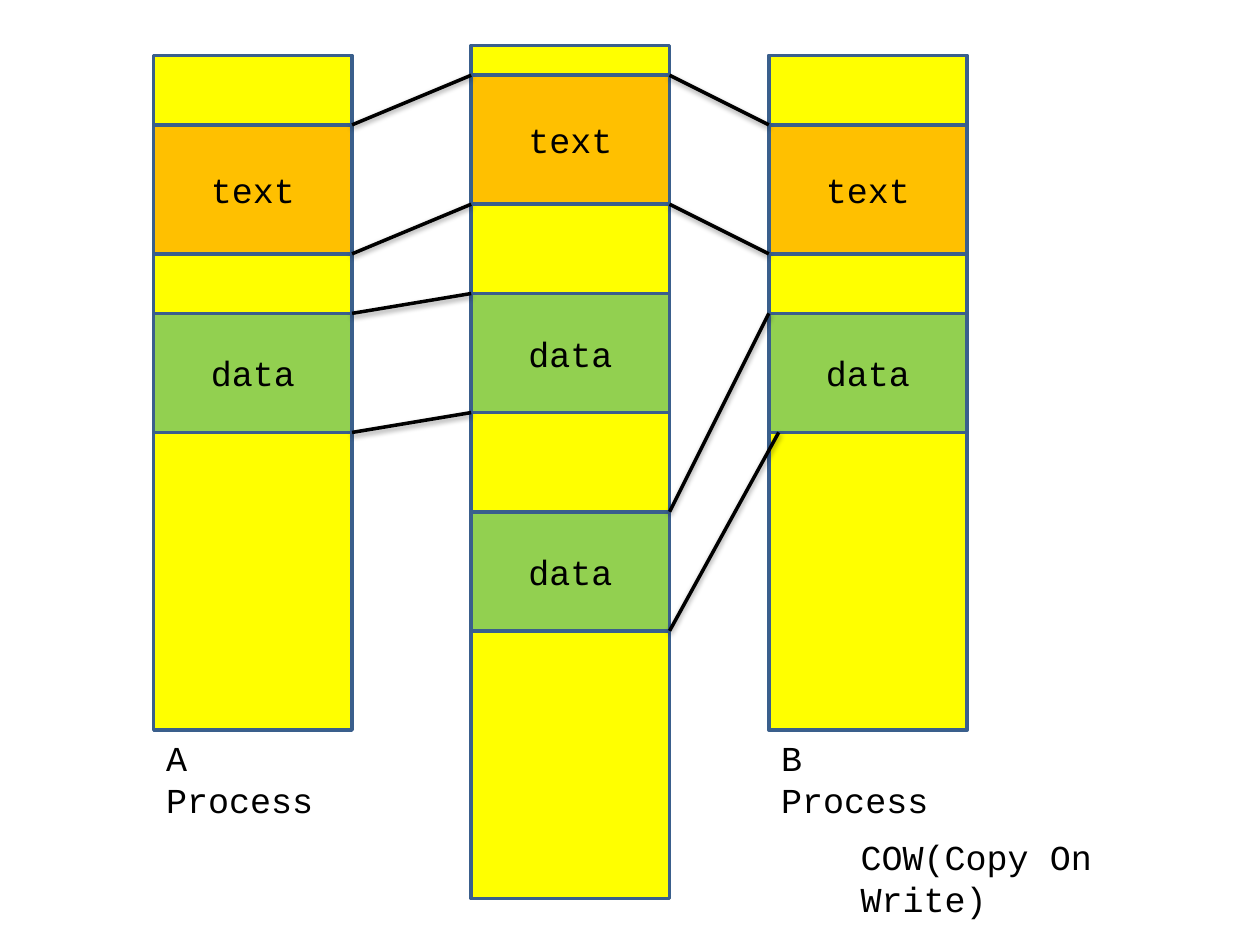
import pptx
import pptx.dml.color
import pptx.enum.shapes
import pptx.enum.text
import pptx.util

RGBColor = pptx.dml.color.RGBColor
YELLOW = RGBColor(0xFF, 0xFF, 0x00)
ORANGE = RGBColor(0xFF, 0xC0, 0x00)
GREEN = RGBColor(0x92, 0xD0, 0x50)
BORDER = RGBColor(0x3A, 0x5F, 0x8C)
BLACK = RGBColor(0x00, 0x00, 0x00)

CELL_MM = 2
LEFT_IN, TOP_IN = 1.22, 0.44
BAR_W, TEXT_H, DATA_H = 20, 13, 12
A_COL, MEMORY_COL, B_COL = 0, 32, 62
PROCESS_H, MEMORY_H = 68, 86
PROCESS_TEXT, PROCESS_DATA = 7, 26
MEMORY_TOP, MEMORY_TEXT, MEMORY_DATA_A, MEMORY_DATA_B = -1, 2, 24, 46


def span(cells):
    return pptx.util.Mm(cells * CELL_MM)


def x(col):
    return pptx.util.Inches(LEFT_IN) + span(col)


def y(row):
    return pptx.util.Inches(TOP_IN) + span(row)


def set_text(tf, text):
    tf.text = text
    font = tf.paragraphs[0].runs[0].font
    font.name = "Courier New"
    font.size = pptx.util.Pt(20)
    font.color.rgb = BLACK


def add_block(slide, col, row, rows, color, text=""):
    sp = slide.shapes.add_shape(
        pptx.enum.shapes.MSO_SHAPE.RECTANGLE, x(col), y(row), span(BAR_W), span(rows))
    sp.shadow.inherit = False
    sp.fill.solid()
    sp.fill.fore_color.rgb = color
    sp.line.color.rgb = BORDER
    sp.line.width = pptx.util.Pt(2)
    if text:
        tf = sp.text_frame
        tf.vertical_anchor = pptx.enum.text.MSO_ANCHOR.MIDDLE
        set_text(tf, text)
        tf.paragraphs[0].alignment = pptx.enum.text.PP_ALIGN.CENTER


def add_label(slide, col, row, cols, text):
    tf = slide.shapes.add_textbox(x(col), y(row), span(cols), span(5.6)).text_frame
    tf.word_wrap = True
    tf.auto_size = pptx.enum.text.MSO_AUTO_SIZE.SHAPE_TO_FIT_TEXT
    set_text(tf, text)


def add_line(slide, start_col, start_row, end_col, end_row):
    line = slide.shapes.add_connector(
        pptx.enum.shapes.MSO_CONNECTOR.STRAIGHT,
        x(start_col), y(start_row), x(end_col), y(end_row)).line
    line.color.rgb = BLACK
    line.width = pptx.util.Pt(2)


def add_mapping(slide, start_col, start_row, end_col, end_row, rows, end_shift=0):
    add_line(slide, start_col, start_row, end_col, end_row)
    add_line(slide, start_col, start_row + rows, end_col + end_shift, end_row + rows)


def add_process(slide, col, name):
    add_block(slide, col, 0, PROCESS_H, YELLOW)
    add_label(slide, col, PROCESS_H, 20.2, name)
    add_block(slide, col, PROCESS_TEXT, TEXT_H, ORANGE, "text")
    add_block(slide, col, PROCESS_DATA, DATA_H, GREEN, "data")


def add_memory(slide):
    add_block(slide, MEMORY_COL, MEMORY_TOP, MEMORY_H, YELLOW)
    add_block(slide, MEMORY_COL, MEMORY_TEXT, TEXT_H, ORANGE, "text")
    for row in (MEMORY_DATA_A, MEMORY_DATA_B):
        add_block(slide, MEMORY_COL, row, DATA_H, GREEN, "data")


def main():
    prs = pptx.Presentation()
    prs.slide_width = pptx.util.Inches(10)
    prs.slide_height = pptx.util.Inches(7.5)
    slide = prs.slides.add_slide(prs.slide_layouts[6])

    add_process(slide, A_COL, "A Process")
    add_process(slide, B_COL, "B Process")
    add_memory(slide)

    a_edge, memory_edge = A_COL + BAR_W, MEMORY_COL + BAR_W
    add_mapping(slide, a_edge, PROCESS_TEXT, MEMORY_COL, MEMORY_TEXT, TEXT_H)
    add_mapping(slide, memory_edge, MEMORY_TEXT, B_COL, PROCESS_TEXT, TEXT_H)
    add_mapping(slide, a_edge, PROCESS_DATA, MEMORY_COL, MEMORY_DATA_A, DATA_H)
    add_mapping(slide, memory_edge, MEMORY_DATA_B, B_COL, PROCESS_DATA, DATA_H, end_shift=1)

    add_label(slide, 70, 78, 37.8, "COW(Copy On Write)")
    prs.save("out.pptx")


if __name__ == "__main__":
    main()
